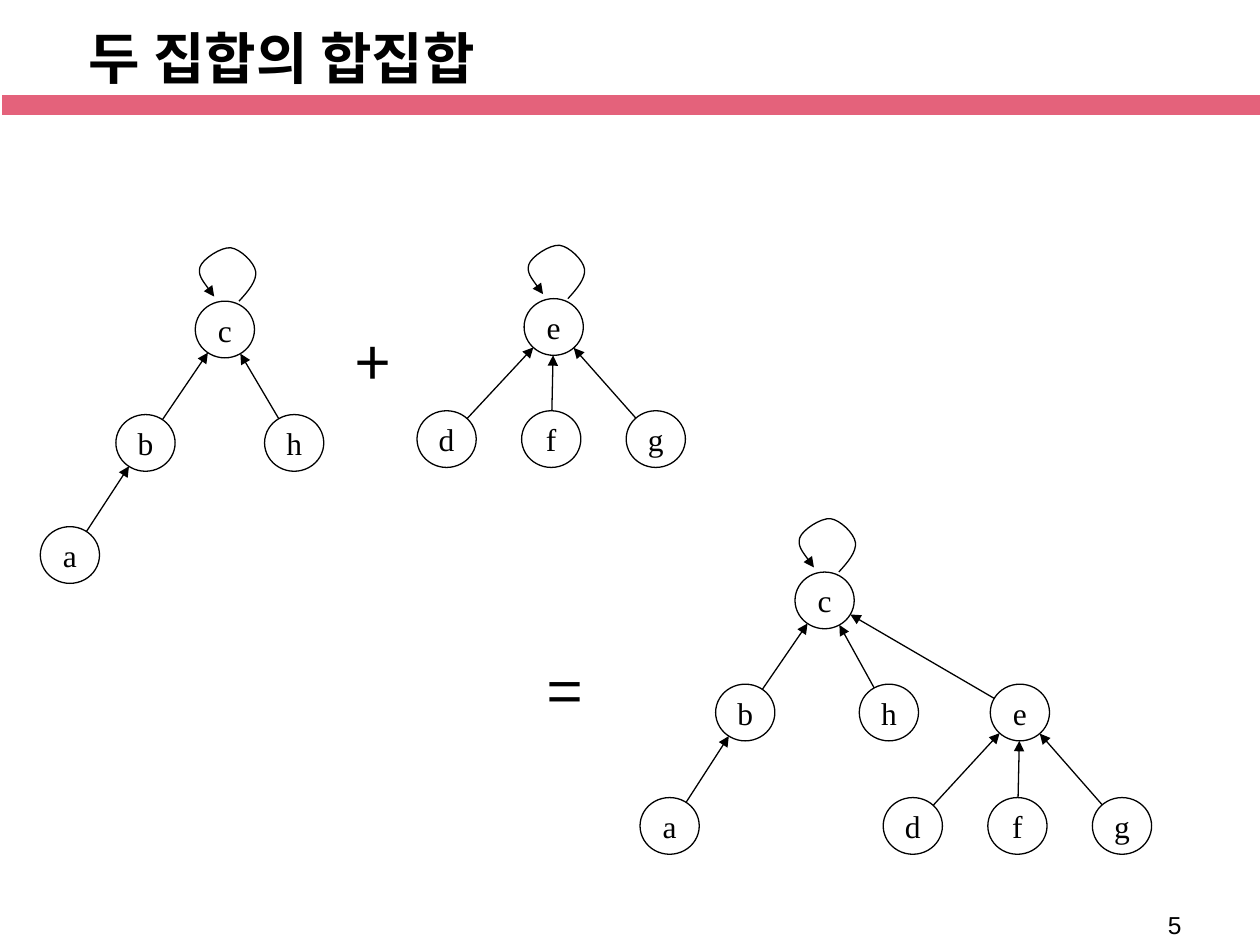
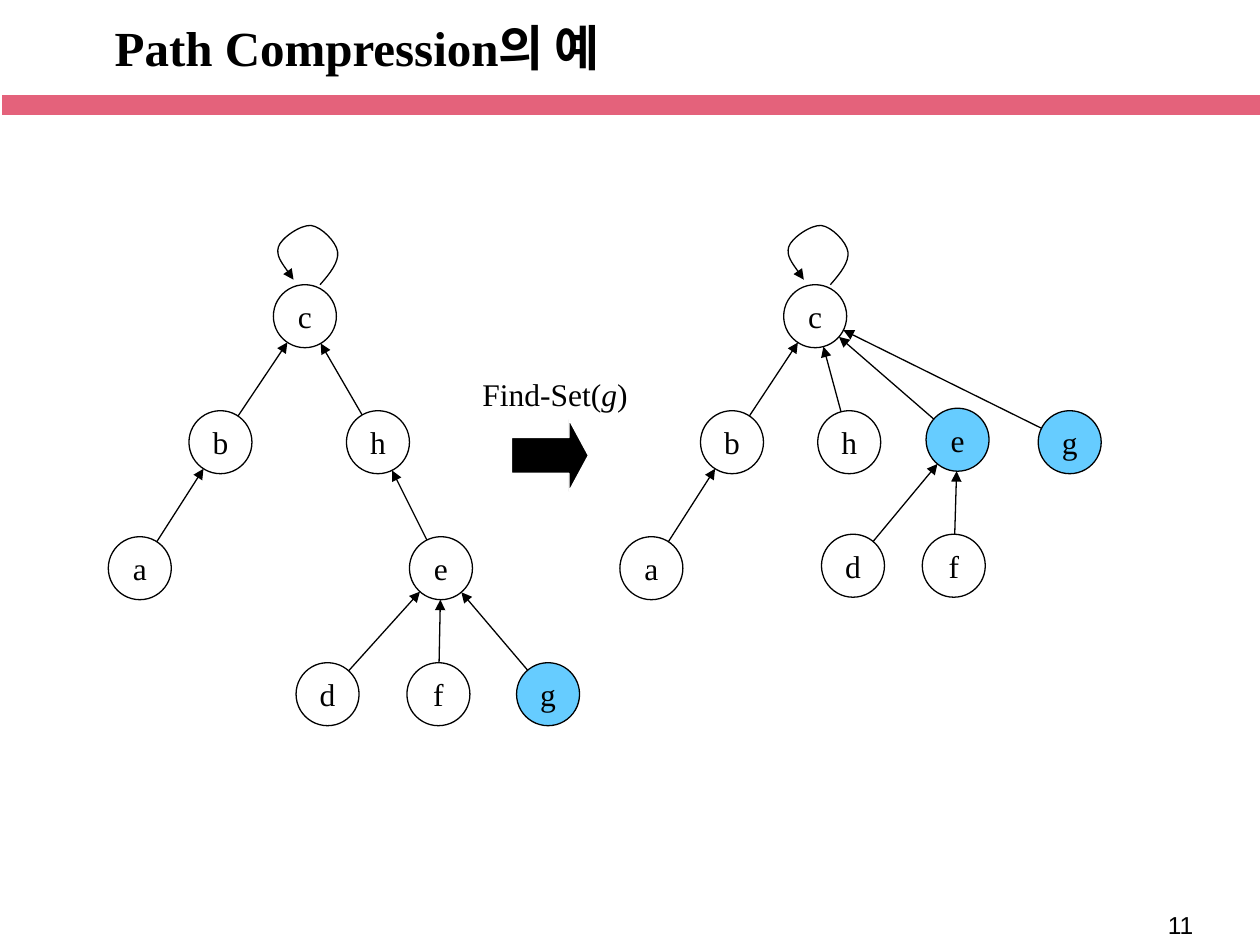
"""Builds two slides on disjoint-set trees: union of two sets and path compression."""
from math import hypot

from lxml import etree
from pptx import Presentation
from pptx.dml.color import RGBColor
from pptx.enum.shapes import MSO_CONNECTOR, MSO_SHAPE
from pptx.enum.text import MSO_ANCHOR, PP_ALIGN
from pptx.oxml.ns import qn
from pptx.util import Inches, Pt

STRAIGHT = MSO_CONNECTOR.STRAIGHT
RECTANGLE, OVAL, RIGHT_ARROW = MSO_SHAPE.RECTANGLE, MSO_SHAPE.OVAL, MSO_SHAPE.RIGHT_ARROW
TOP, MIDDLE = MSO_ANCHOR.TOP, MSO_ANCHOR.MIDDLE
LEFT, CENTER = PP_ALIGN.LEFT, PP_ALIGN.CENTER

COLORS = {"ink": "000000", "paper": "FFFFFF", "band": "E4627B", "marked": "66CCFF"}
SERIF, SANS, KOREAN = "Times New Roman", "Arial", "Noto Sans CJK KR"

LOOP = [(0.74, 0), (0.9, -0.18), (1.04, -0.36), (1.02, -0.52), (1, -0.68),
        (0.76, -0.92), (0.6, -0.94), (0.44, -0.96), (0.12, -0.74), (0.08, -0.6),
        (0.04, -0.46), (0.18, -0.28), (0.32, -0.08)]

SLIDES = [
    {
        "title": ("두 집합의 합집합", 32, (0.11, -0.08, 4.26, 1.06)),
        "number": "5",
        "node_size": (0.47, 0.45),
        "trees": [
            {"nodes": {"c": (1.55, 2.39), "b": (0.92, 3.29), "h": (2.1, 3.29), "a": (0.32, 4.18)},
             "parents": {"c": "c", "b": "c", "h": "c", "a": "b"}, "marked": ""},
            {"nodes": {"e": (4.16, 2.37), "d": (3.31, 3.26), "f": (4.14, 3.26), "g": (4.97, 3.26)},
             "parents": {"e": "e", "d": "e", "f": "e", "g": "e"}, "marked": ""},
            {"nodes": {"c": (6.31, 4.54), "b": (5.68, 5.43), "h": (6.82, 5.43), "e": (7.86, 5.43),
                       "a": (5.08, 6.33), "d": (7.01, 6.33), "f": (7.84, 6.33), "g": (8.67, 6.33)},
             "parents": {"c": "c", "b": "c", "h": "c", "e": "c",
                         "a": "b", "d": "e", "f": "e", "g": "e"}, "marked": ""},
        ],
        "labels": [("+", 36, KOREAN, (2.72, 2.52, 0.51, 0.7)),
                   ("=", 36, KOREAN, (4.25, 5.13, 0.51, 0.7))],
        "block_arrows": [],
    },
    {
        "title": ("Path Compression의 예", 28, (0.75, -0.05, 4.17, 0.85)),
        "number": "11",
        "node_size": (0.5, 0.5),
        "trees": [
            {"nodes": {"c": (2.17, 2.26), "b": (1.5, 3.26), "h": (2.75, 3.26), "a": (0.86, 4.26),
                       "e": (3.25, 4.26), "d": (2.35, 5.26), "f": (3.23, 5.26), "g": (4.1, 5.26)},
             "parents": {"c": "c", "b": "c", "h": "c", "a": "b",
                         "e": "h", "d": "e", "f": "e", "g": "e"}, "marked": "g"},
            {"nodes": {"c": (6.22, 2.26), "b": (5.56, 3.26), "h": (6.49, 3.26), "e": (7.35, 3.24),
                       "g": (8.24, 3.26), "a": (4.92, 4.26), "d": (6.52, 4.24), "f": (7.32, 4.24)},
             "parents": {"c": "c", "b": "c", "h": "c", "e": "c", "g": "c",
                         "a": "b", "d": "e", "f": "e"}, "marked": "eg"},
        ],
        "labels": [("Find-Set(|g|)", 18, SERIF, (3.73, 2.93, 1.35, 0.4))],
        "block_arrows": [(4.06, 3.33, 0.61, 0.57)],
    },
]


def write(shape, text, size, font, bold=False, align=LEFT, anchor=TOP, wrap=False):
    frame = shape.text_frame
    frame.word_wrap = wrap
    frame.vertical_anchor = anchor
    para = frame.paragraphs[0]
    para.alignment = align
    for index, part in enumerate(text.split("|")):
        span = para.add_run()
        span.text = part
        span.font.size = Pt(size)
        span.font.name = font
        span.font.bold = bold
        span.font.italic = index % 2 == 1
        span.font.color.rgb = RGBColor.from_string(COLORS["ink"])
        etree.SubElement(span.font._element, qn("a:ea")).set("typeface", KOREAN)


def draw_line(shape, color, width, arrow=False):
    shape.line.color.rgb = RGBColor.from_string(COLORS[color])
    shape.line.width = Pt(width)
    properties = shape._element.spPr
    if arrow:
        etree.SubElement(properties.find(qn("a:ln")), qn("a:tailEnd")).set("type", "triangle")
    etree.SubElement(properties, qn("a:effectLst"))


deck = Presentation()
deck.slide_width, deck.slide_height = Inches(10), Inches(7.5)

for content in SLIDES:
    page = deck.slides.add_slide(deck.slide_layouts[6])
    shapes = page.shapes

    band = shapes.add_shape(RECTANGLE, Inches(0.01), Inches(0.75), Inches(10), Inches(0.17))
    band.fill.solid()
    band.fill.fore_color.rgb = RGBColor.from_string(COLORS["band"])
    draw_line(band, "paper", 1)

    number = shapes.add_textbox(Inches(9.17), Inches(7.17), Inches(0.57), Inches(0.33))
    write(number, content["number"], 14, SANS, wrap=True)

    title, title_size, place = content["title"]
    heading = shapes.add_textbox(*map(Inches, place))
    write(heading, title, title_size, SERIF, bold=True, align=CENTER, anchor=MIDDLE, wrap=True)

    width, height = content["node_size"]
    for tree in content["trees"]:
        nodes = tree["nodes"]
        for name, (left, top) in nodes.items():
            node = shapes.add_shape(OVAL, Inches(left), Inches(top), Inches(width), Inches(height))
            if name in tree["marked"]:
                node.fill.solid()
                node.fill.fore_color.rgb = RGBColor.from_string(COLORS["marked"])
            else:
                node.fill.background()
            draw_line(node, "ink", 0.75)
            write(node, name, 18, SERIF, align=CENTER, anchor=MIDDLE)

        for child, parent in tree["parents"].items():
            left, top = nodes[child]
            if child == parent:
                points = [(Inches(left + x * width), Inches(top + y * height)) for x, y in LOOP]
                builder = shapes.build_freeform(*points[0])
                builder.add_line_segments(points[1:], close=False)
                loop = builder.convert_to_shape()
                loop.fill.background()
                draw_line(loop, "ink", 0.75, arrow=True)
                segments = list(loop._element.iter(qn("a:lnTo")))
                outline = segments[0].getparent()
                for start in range(0, len(segments), 3):
                    curve = etree.SubElement(outline, qn("a:cubicBezTo"))
                    for segment in segments[start:start + 3]:
                        curve.append(segment[0])
                        outline.remove(segment)
                continue
            parent_left, parent_top = nodes[parent]
            run, rise = parent_left - left, parent_top - top
            length = hypot(run, rise)
            reach_x, reach_y = width / 2 * run / length, height / 2 * rise / length
            edge = shapes.add_connector(
                STRAIGHT,
                Inches(left + width / 2 + reach_x), Inches(top + height / 2 + reach_y),
                Inches(parent_left + width / 2 - reach_x), Inches(parent_top + height / 2 - reach_y))
            draw_line(edge, "ink", 0.75, arrow=True)

    for place in content["block_arrows"]:
        block_arrow = shapes.add_shape(RIGHT_ARROW, *map(Inches, place))
        block_arrow.adjustments[1] = 0.27
        block_arrow.fill.solid()
        block_arrow.fill.fore_color.rgb = RGBColor.from_string(COLORS["ink"])
        draw_line(block_arrow, "paper", 0.75)

    for text, size, font, place in content["labels"]:
        box = shapes.add_textbox(*map(Inches, place))
        write(box, text, size, font)

deck.save("out.pptx")
